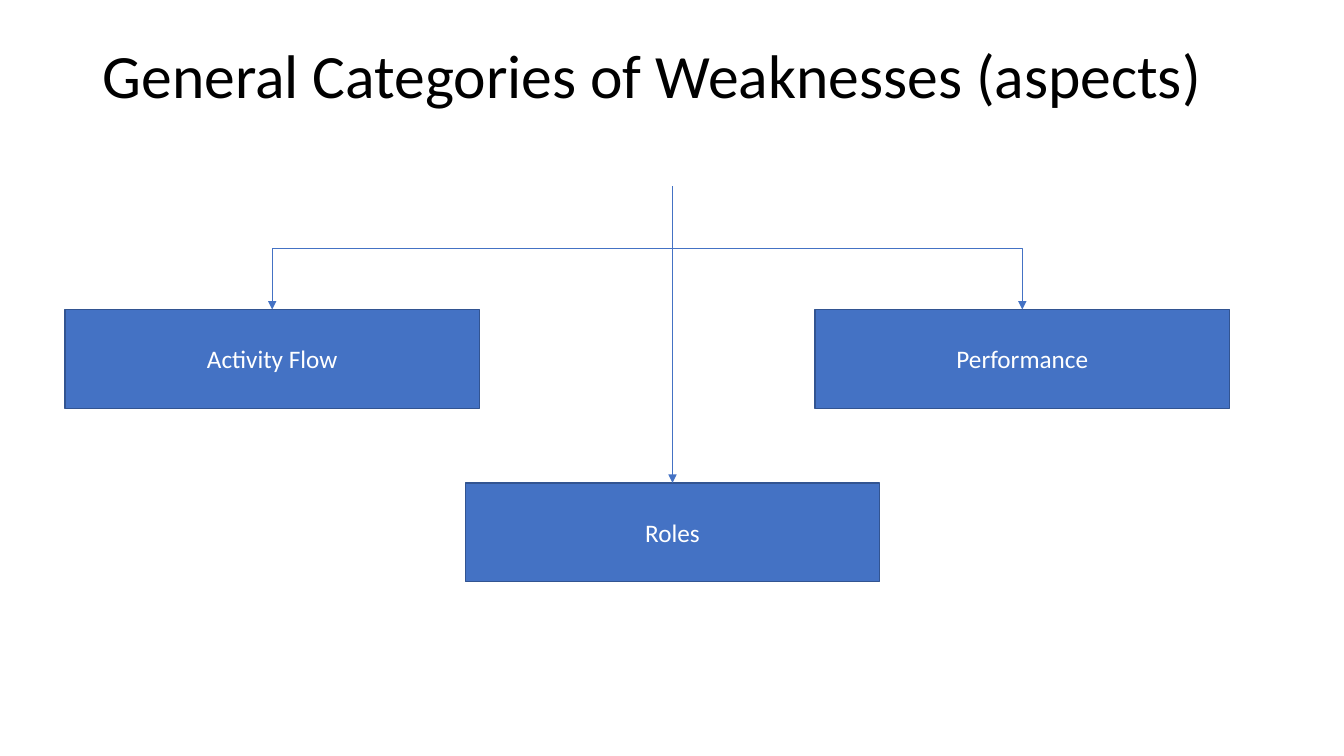
from dataclasses import dataclass

from pptx import Presentation
from pptx.dml.color import RGBColor
from pptx.enum.shapes import MSO_CONNECTOR, MSO_SHAPE
from pptx.enum.text import MSO_ANCHOR, PP_ALIGN
from pptx.oxml.ns import qn
from pptx.util import Inches, Pt
from lxml.etree import SubElement


@dataclass(frozen=True)
class Theme:
    """Colours, font and sizes of the slide."""
    font: str = "Calibri"
    ink: str = "000000"
    accent: str = "4472C4"
    border: str = "325491"
    light: str = "FFFFFF"
    title_size: float = 44
    label_size: float = 18
    border_width: float = 1
    arrow_width: float = 0.5


class SlideBuilder:
    """Draws styled elements on one slide."""

    def __init__(self, s, theme):
        """Keep the slide and its theme."""
        self.s = s
        self.theme = theme

    def run(self, p, text, size, color):
        """Add one styled run to a paragraph."""
        r = p.add_run()
        r.text = text
        r.font.name = self.theme.font
        r.font.size = Pt(size)
        r.font.color.rgb = RGBColor.from_string(color)

    def title(self, text, left, top, width, height):
        """Add the heading at the top of its area."""
        tf = self.s.shapes.add_textbox(
            Inches(left), Inches(top), Inches(width), Inches(height)).text_frame
        tf.word_wrap = True
        tf.vertical_anchor = MSO_ANCHOR.TOP
        p = tf.paragraphs[0]
        p.line_spacing = 0.9
        self.run(p, text, self.theme.title_size, self.theme.ink)

    def box(self, text, left, top, width, height):
        """Add a filled category box with a centred label."""
        sp = self.s.shapes.add_shape(
            MSO_SHAPE.RECTANGLE,
            Inches(left), Inches(top), Inches(width), Inches(height))
        sp.shadow.inherit = False
        sp.fill.solid()
        sp.fill.fore_color.rgb = RGBColor.from_string(self.theme.accent)
        sp.line.color.rgb = RGBColor.from_string(self.theme.border)
        sp.line.width = Pt(self.theme.border_width)
        tf = sp.text_frame
        tf.word_wrap = True
        tf.vertical_anchor = MSO_ANCHOR.MIDDLE
        p = tf.paragraphs[0]
        p.alignment = PP_ALIGN.CENTER
        self.run(p, text, self.theme.label_size, self.theme.light)

    def arrow(self, x1, y1, x2, y2):
        """Add an elbow arrow that leaves and arrives vertically."""
        rightward = x2 > x1
        mid_x, mid_y = (x1 + x2) / 2, (y1 + y2) / 2
        half_w, half_h = (y2 - y1) / 2, abs(x2 - x1) / 2
        start, end = mid_x - half_w, mid_x + half_w
        if rightward:
            start, end = end, start
        c = self.s.shapes.add_connector(
            MSO_CONNECTOR.ELBOW,
            Inches(start), Inches(mid_y - half_h),
            Inches(end), Inches(mid_y + half_h))
        c.line.color.rgb = RGBColor.from_string(self.theme.accent)
        c.line.width = Pt(self.theme.arrow_width)
        spPr = c.element.spPr
        quarter_turns = 3 if rightward else 1
        spPr.find(qn("a:xfrm")).set("rot", str(quarter_turns * 90 * 60000))
        SubElement(spPr.find(qn("a:ln")), qn("a:tailEnd"), type="triangle")
        SubElement(spPr, qn("a:effectLst"))


BOX_WIDTH, BOX_HEIGHT = 4.11, 0.98
ROOT_X, ROOT_Y = 6.67, 1.85
CATEGORIES = [
    ("Activity Flow", 2.7, 3.07),
    ("Roles", ROOT_X, 4.79),
    ("Performance", 10.14, 3.07),
]

prs = Presentation()
prs.slide_width, prs.slide_height = Inches(13.33), Inches(7.5)
slide = SlideBuilder(prs.slides.add_slide(prs.slide_layouts[6]), Theme())

slide.title("General Categories of Weaknesses (aspects)", 0.92, 0.4, 11.5, 1.45)
for label, center, top in CATEGORIES:
    slide.box(label, center - BOX_WIDTH / 2, top, BOX_WIDTH, BOX_HEIGHT)
for _, center, top in CATEGORIES:
    slide.arrow(ROOT_X, ROOT_Y, center, top)

prs.save("out.pptx")
